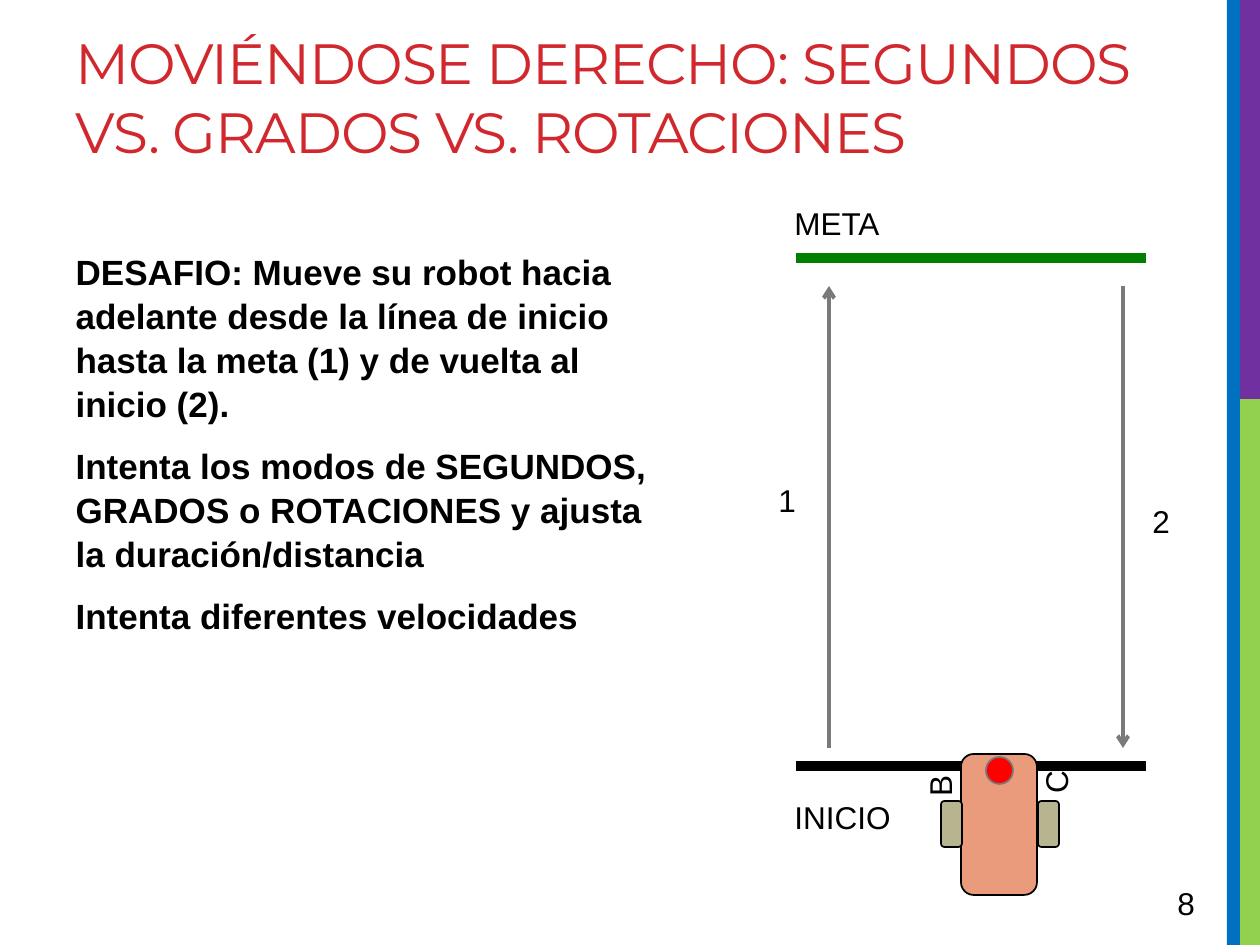
import pptx
import pptx.util
import pptx.dml.color
import pptx.enum.shapes
import pptx.enum.text
import pptx.oxml.ns
from dataclasses import dataclass
from lxml import etree

Pt = pptx.util.Pt
Kind = pptx.enum.shapes.MSO_SHAPE
Fit = pptx.enum.text.MSO_AUTO_SIZE
Align = pptx.enum.text.PP_ALIGN
Anchor = pptx.enum.text.MSO_ANCHOR
SCALE = 914400 / 126


@dataclass(frozen=True)
class Theme:
    red: str = "D1282E"
    ink: str = "000000"
    blue: str = "0070C0"
    violet: str = "7030A0"
    lime: str = "92D050"
    goal: str = "008000"
    gray: str = "7A7A7A"
    skin: str = "EA9B7C"
    wheel: str = "B6B590"
    light: str = "FF0000"
    rim: str = "777777"
    head: str = "Montserrat"
    font: str = "Arial"
    title: float = 32.4
    body: float = 20
    label: float = 18


def px(*nums):
    return [round(n * SCALE) for n in nums]


def rgb(code):
    return pptx.dml.color.RGBColor.from_string(code)


def child(node, tag, **attrs):
    return etree.SubElement(node, pptx.oxml.ns.qn(tag), **attrs)


def write(frame, text, *, font, size, color, bold=False, track=0,
          before=0, after=0, line=1.0, wrap=True):
    """Fill a text frame, one paragraph per line of text."""
    frame.word_wrap = wrap
    frame.auto_size = Fit.NONE
    frame.vertical_anchor = Anchor.TOP
    for i, part in enumerate(text.split("\n")):
        para = frame.paragraphs[0] if i == 0 else frame.add_paragraph()
        para.alignment = Align.LEFT
        para.line_spacing = line
        para.space_before = Pt(before if i else 0)
        para.space_after = Pt(after)
        props = para._p.get_or_add_pPr()
        props.set("marL", "0")
        props.set("indent", "0")
        child(props, "a:buNone")
        run = para.add_run()
        run.text = part
        run.font.name = font
        run.font.size = Pt(size)
        run.font.bold = bold
        run.font.color.rgb = rgb(color)
        if track:
            run._r.get_or_add_rPr().set("spc", str(round(track * 100)))


class Deck:
    def __init__(self, theme, wide, high):
        self.theme = theme
        self.file = pptx.Presentation()
        self.file.slide_width, self.file.slide_height = px(wide, high)
        self.slide = self.file.slides.add_slide(self.file.slide_layouts[1])
        self.host = self.slide.shapes

    def holder(self, index, box, text, **style):
        item = self.slide.placeholders[index]
        item.left, item.top, item.width, item.height = px(*box)
        write(item.text_frame, text, **style)

    def label(self, box, text, turn=0, wrap=True):
        item = self.host.add_textbox(*px(*box))
        item.rotation = turn
        write(item.text_frame, text, font=self.theme.font,
              size=self.theme.label, color=self.theme.ink, wrap=wrap)

    def shape(self, kind, box, fill, edge=None):
        item = self.host.add_shape(kind, *px(*box))
        item.shadow.inherit = False
        item.fill.solid()
        item.fill.fore_color.rgb = rgb(fill)
        if edge:
            item.line.color.rgb = rgb(edge)
            item.line.width = Pt(1)
        else:
            item.line.fill.background()

    def line(self, start, end, color, width, arrow=False):
        item = self.host.add_connector(
            pptx.enum.shapes.MSO_CONNECTOR.STRAIGHT, *px(*start, *end))
        item.line.color.rgb = rgb(color)
        item.line.width = Pt(width)
        if arrow:
            child(item.line._get_or_add_ln(), "a:tailEnd", type="arrow")
        child(item._element.spPr, "a:effectLst")

    def group(self):
        self.host = self.slide.shapes.add_group_shape().shapes

    def close(self):
        self.host = self.slide.shapes


def main():
    theme = Theme()
    deck = Deck(theme, 1260, 945)

    # Side bars
    deck.shape(Kind.RECTANGLE, (1240, 399, 20, 546), theme.lime)
    deck.shape(Kind.RECTANGLE, (1235, 0, 25, 399), theme.violet)
    deck.shape(Kind.RECTANGLE, (1227, 0, 13, 945), theme.blue)

    # Title and challenge
    deck.holder(0, (63, 22, 1137, 189),
                "MOVIÉNDOSE DERECHO: SEGUNDOS VS. GRADOS VS. ROTACIONES",
                font=theme.head, size=theme.title, color=theme.red, track=-0.6)
    deck.holder(1, (63, 242, 627, 602),
                "DESAFIO: Mueve su robot hacia adelante desde la línea de "
                "inicio hasta la meta (1) y de vuelta al inicio (2).\n"
                "Intenta los modos de SEGUNDOS, GRADOS o ROTACIONES y ajusta "
                "la duración/distancia\n"
                "Intenta diferentes velocidades",
                font=theme.font, size=theme.body, color=theme.ink, bold=True,
                before=4, after=6, line=1.05)

    # Goal and start lines
    for y, color in ((258, theme.goal), (766, theme.ink)):
        deck.line((1146, y), (796, y), color, 6)

    # Way there and way back
    for x, start, end in ((829, 748, 286), (1123, 286, 748)):
        deck.line((x, start), (x, end), theme.gray, 2.25, arrow=True)
    deck.label((766, 475, 43, 50), "1")
    deck.label((1140, 496, 43, 50), "2")
    deck.label((782, 198, 111, 50), "META", wrap=False)
    deck.label((782, 792, 122, 50), "INICIO", wrap=False)

    # Robot with its two motors
    deck.group()
    deck.shape(Kind.ROUNDED_RECTANGLE, (961, 754, 76, 141),
               theme.skin, theme.ink)
    for x in (1038, 941):
        deck.shape(Kind.ROUNDED_RECTANGLE, (x, 801, 21, 46),
                   theme.wheel, theme.ink)
    deck.shape(Kind.OVAL, (986, 757, 27, 27), theme.light, theme.rim)
    deck.label((905, 761, 57, 38), "B", turn=270)
    deck.label((1021, 758, 57, 38), "C", turn=270)
    deck.close()

    # Page number
    deck.label((1165, 878, 87, 50), "8")

    deck.file.save("out.pptx")


if __name__ == "__main__":
    main()
